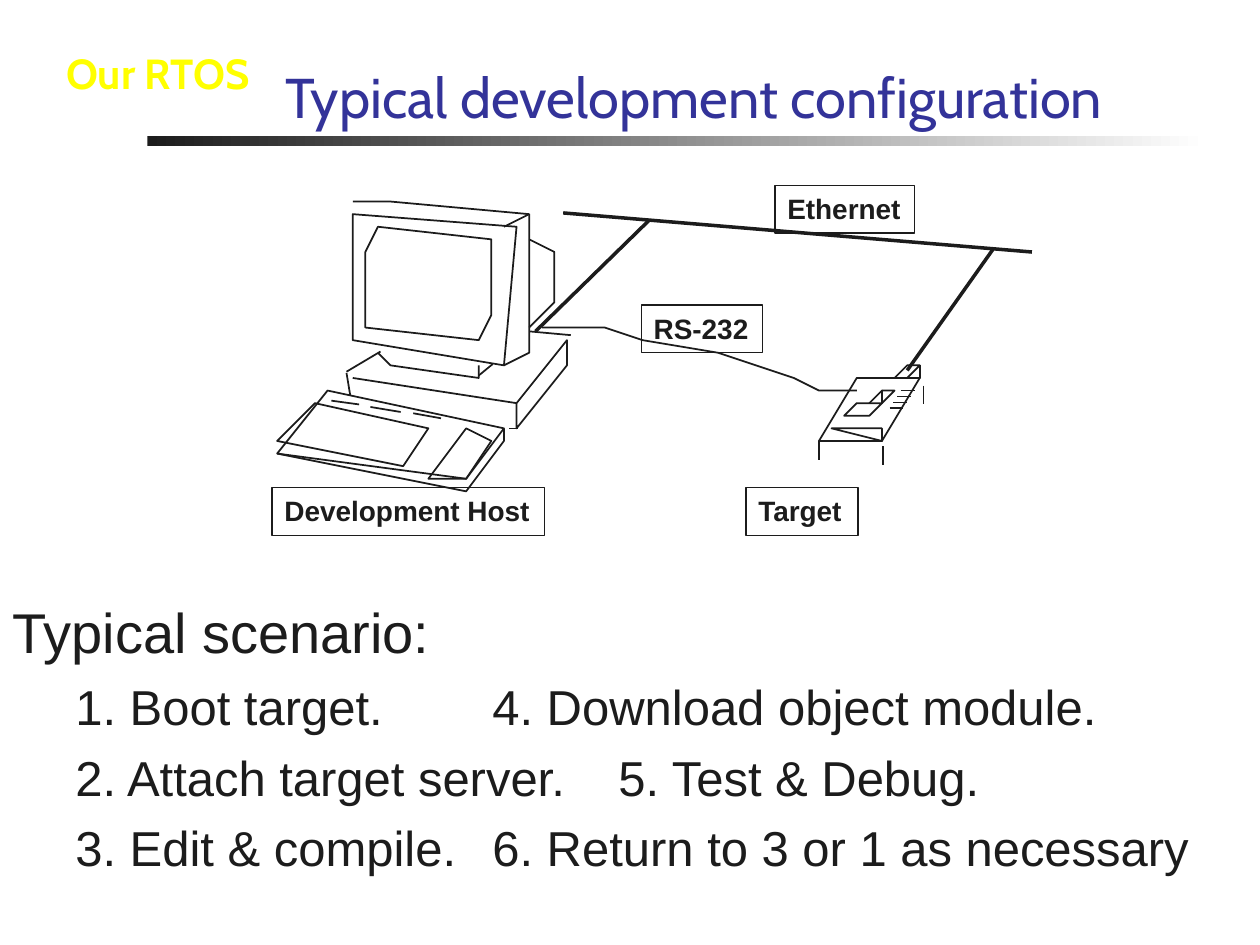
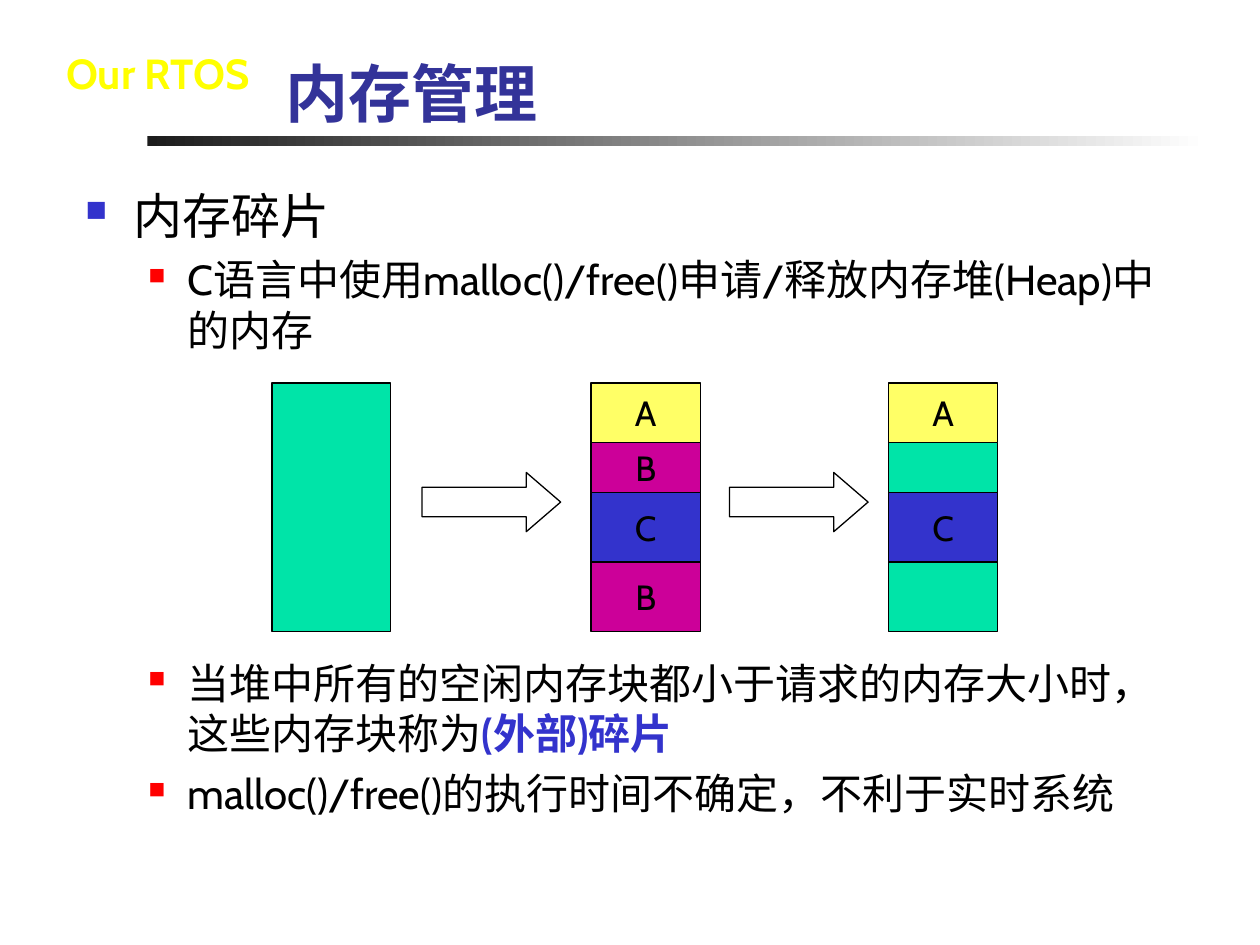
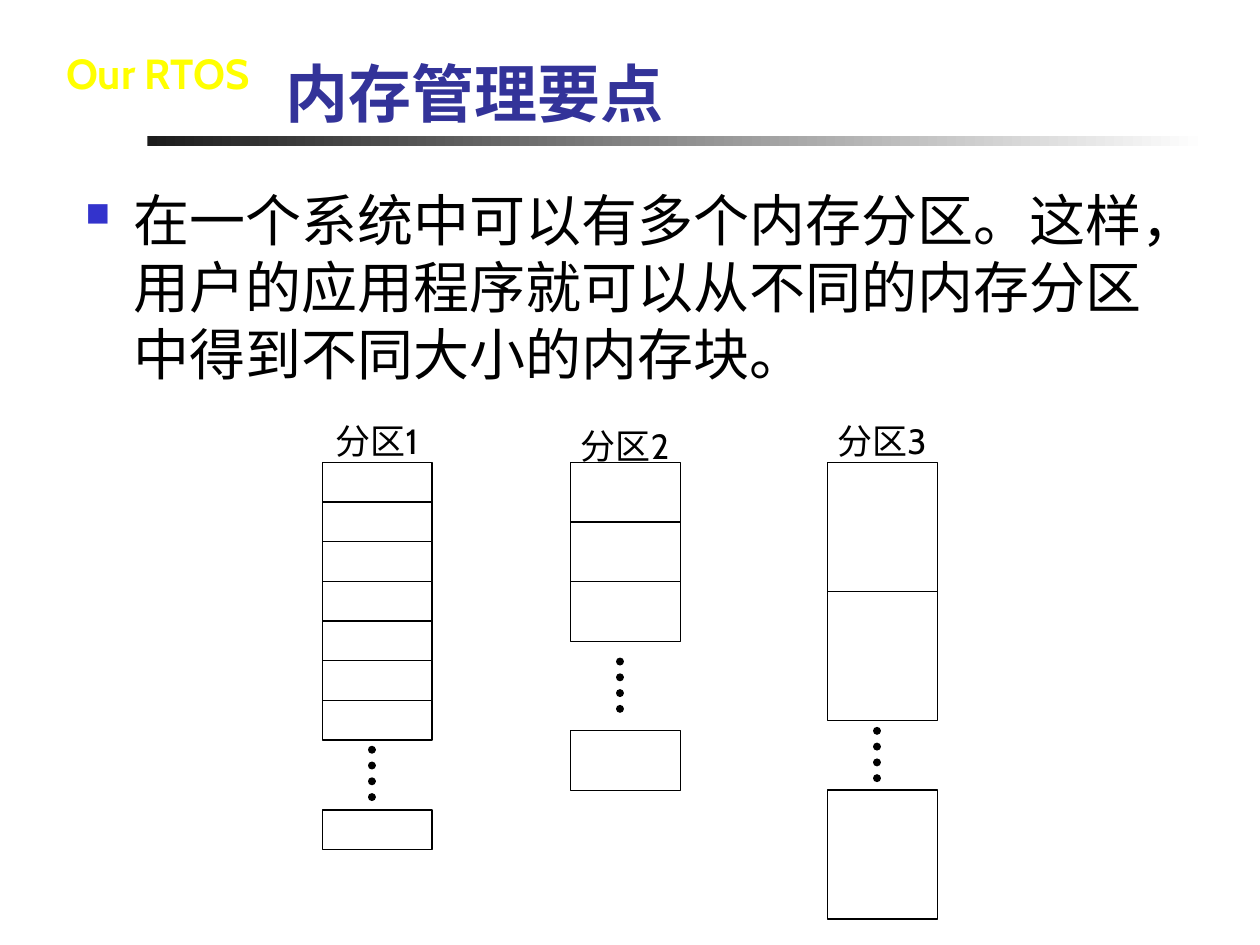
from lxml import etree
from pptx import Presentation
from pptx import util as u
from pptx.dml import color as col
from pptx.enum import dml, shapes, text as txt
from pptx.oxml import ns

COLORS = {
    "ink": "1C1C1C", "black": "000000", "white": "FFFFFF", "title": "333399",
    "badge": "FFFF00", "blue": "3333CC", "red": "FF0000",
    "free": "00E4A8", "yellow": "FFFF66", "magenta": "CC0099",
}
HEAD, PLAIN = "Cabin", "Arial"
COLUMNS, ROWS = 100, 75          # square grid cells of a tenth of an inch
CELL = u.Inches(0.1)
LEVELS = [(0.38, -0.38), (0.81, -0.31)]            # margin, first line
BULLETS = [("blue", 60), ("red", 55)]              # colour, percent of text


def rgb(name):
    """Return the named colour."""
    return col.RGBColor.from_string(COLORS[name])


def cells(*numbers):
    """Turn grid numbers into lengths."""
    return [u.Emu(round(n * CELL)) for n in numbers]


def add_bullet(paragraph, level):
    """Give a paragraph the square bullet of its level."""
    name, percent = BULLETS[level]
    props = paragraph._p.get_or_add_pPr()
    tint = etree.SubElement(props, ns.qn("a:buClr"))
    etree.SubElement(tint, ns.qn("a:srgbClr")).set("val", COLORS[name])
    etree.SubElement(props, ns.qn("a:buSzPct")).set("val", str(percent * 1000))
    etree.SubElement(props, ns.qn("a:buChar")).set("char", "■")


def write(frame, words, size=20, font=HEAD, color="black", bold=False,
          align=None, before=0, level=None, bullet=False, same_line=False):
    """Add a formatted paragraph, or a run to the last paragraph."""
    paragraph = frame.paragraphs[-1]
    if not same_line:
        if paragraph.runs:
            paragraph = frame.add_paragraph()
        paragraph.alignment = align
        paragraph.space_before = u.Pt(before)
        if level is not None:
            paragraph.level = level
            props = paragraph._p.get_or_add_pPr()
            for key, inches in zip(("marL", "indent"), LEVELS[level]):
                props.set(key, str(u.Inches(inches)))
        if bullet:
            add_bullet(paragraph, level)
    run = paragraph.add_run()
    run.text = words
    run.font.size, run.font.name, run.font.bold = u.Pt(size), font, bold
    run.font.color.rgb = rgb(color)


class Deck:
    """Holds the presentation, the current slide and the shared style."""

    def __init__(self):
        """Start an empty deck."""
        self.show = Presentation()
        self.show.slide_width, self.show.slide_height = cells(COLUMNS, ROWS)

    def start(self, title, **style):
        """Open a slide with rule, badge and title."""
        self.slide = self.show.slides.add_slide(self.show.slide_layouts[6])
        self.canvas = self.slide.shapes
        rule = self.block(11.7, 10.8, 84.1, 0.8, border=None)
        rule.fill.gradient()
        rule.fill.gradient_angle = 0
        for stop, name in zip(rule.fill.gradient_stops, ("ink", "white")):
            stop.color.rgb = rgb(name)
        badge = self.frame(4.2, 3.3, 16.7, 10, wrap=False)
        write(badge, "Our RTOS", size=24, color="badge", bold=True,
              align=txt.PP_ALIGN.CENTER)
        heading = self.frame(21.7, 3.3, 73.6, 7.5, anchor=txt.MSO_ANCHOR.BOTTOM)
        write(heading, title, color="title", **style)

    def group(self):
        """Send the shapes that follow into a new group."""
        self.canvas = self.slide.shapes.add_group_shape().shapes

    def frame(self, *place, wrap=True, anchor=txt.MSO_ANCHOR.TOP):
        """Add a text box and return its text frame."""
        frame = self.canvas.add_textbox(*cells(*place)).text_frame
        frame.word_wrap, frame.vertical_anchor = wrap, anchor
        return frame

    def block(self, *place, fill=None, border="black",
              kind=shapes.MSO_SHAPE.RECTANGLE):
        """Add a preset shape."""
        shape = self.canvas.add_shape(kind, *cells(*place))
        self.finish(shape, fill, border, 0.75)
        return shape

    def finish(self, shape, fill, border, width):
        """Set the fill and outline of a shape, without shadow."""
        shape.shadow.inherit = False
        if fill:
            shape.fill.solid()
            shape.fill.fore_color.rgb = rgb(fill)
        else:
            shape.fill.background()
        if border:
            shape.line.color.rgb, shape.line.width = rgb(border), u.Pt(width)
        else:
            shape.line.fill.background()

    def tag(self, words, *place):
        """Add a framed bold caption."""
        frame = self.block(*place, border="ink").text_frame
        frame.word_wrap, frame.vertical_anchor = False, txt.MSO_ANCHOR.TOP
        write(frame, words, size=16, font=PLAIN, color="ink", bold=True,
              align=txt.PP_ALIGN.LEFT)

    def line(self, start, end, color="ink", width=1, dotted=False):
        """Add a straight line, if wanted as round dots."""
        line = self.canvas.add_connector(
            shapes.MSO_CONNECTOR.STRAIGHT, *cells(*start, *end))
        line.line.color.rgb, line.line.width = rgb(color), u.Pt(width)
        props = line._element.spPr
        if dotted:
            line.line.dash_style = dml.MSO_LINE.ROUND_DOT
            props.find(ns.qn("a:ln")).set("cap", "rnd")
        etree.SubElement(props, ns.qn("a:effectLst"))

    def outline(self, *points, closed=False):
        """Draw a thin unfilled outline through grid points."""
        pen = self.canvas.build_freeform(*points[0], scale=float(CELL))
        pen.add_line_segments(points[1:], close=closed)
        self.finish(pen.convert_to_shape(), None, "ink", 1)


def draw_host(deck):
    """Draw the monitor, case and keyboard of the host."""
    closed_parts = {
        "screen frame": [(28.4, 16.6), (27.9, 27.4), (39.9, 29), (40.6, 17.6)],
        "glass": [(29.8, 18.4), (29.2, 20), (29, 23.7), (29.2, 26.1),
                  (38.4, 27.3), (38.9, 25.1), (39.1, 21.1), (38.8, 19.2)],
        "keyboard": [(25.7, 31.2), (40.3, 33.5), (37.1, 38.4), (22.1, 35.5)],
        "number pad": [(36.6, 34.4), (38.9, 34.7), (36.8, 38), (34.4, 37.6)],
        "key field": [(34.3, 33.9), (32, 37.1), (22.5, 35.3), (24.8, 32.4)],
    }
    open_parts = {
        "monitor top": [(28.3, 16.5), (30.7, 16.2), (42.4, 17.1), (40.4, 17.6)],
        "monitor side": [(42.4, 17.1), (41.8, 28.1), (40, 29)],
        "monitor back": [(42.3, 19.4), (44, 19.6), (44, 24.2), (42, 25.7)],
        "stand": [(30.4, 27.9), (30.7, 28.7), (37.9, 29.8), (38.3, 28.9)],
        "keyboard edge": [(40.3, 33.5), (40.3, 35), (40.1, 35.1), (40.1, 34.8),
                          (37.1, 39.1), (22.1, 36.1), (22.1, 35.5)],
        "case": [(27.5, 29.6), (40.9, 31.6), (41, 34.1), (45.3, 29.1),
                 (45.3, 26.7), (41, 31.5)],
    }
    edges = [
        ((27.5, 29.6), (27.8, 31.4)), ((41.1, 34), (40.4, 34)),
        ((45.3, 26.6), (42, 26.3)), ((27.5, 29.5), (30.2, 27.9)),
        ((38, 29.8), (39.1, 28.9)), ((26.3, 31.8), (28.5, 32.1)),
        ((29.4, 32.3), (31.8, 32.7)), ((32.8, 32.8), (35, 33.2)),
    ]
    for points in closed_parts.values():
        deck.outline(*points, closed=True)
    for points in open_parts.values():
        deck.outline(*points)
    for start, end in edges:
        deck.line(start, end)


def draw_target(deck):
    """Draw the target board with its chips, pins and legs."""
    deck.outline((64.9, 34.9), (68.3, 30), (73.3, 30.4), (70.3, 35.3), closed=True)
    deck.outline((68.2, 32), (67.4, 33), (68.8, 33.1), (69.6, 32), closed=True)
    deck.outline((66.2, 34.4), (70, 34.7), (70.3, 34.4), (66.5, 34.2), closed=True)
    for x, y in [(69.1, 30.7), (69.75, 30.8), (70.4, 30.8)]:
        deck.outline((x, y), (x - 0.5, y + 0.7), (x - 0.3, y + 0.7),
                     (x + 0.2, y), closed=True)
    for pin in range(4):
        x, y = 71.5 - 0.3 * pin, 31 + 0.47 * pin
        deck.line((x, y), (x + 1.1, y))
    for x, y in [(65, 35), (70.1, 35.4), (73.3, 30.6)]:
        deck.line((x, y), (x, y + 1.5))
    deck.outline((70.9, 30.2), (71.6, 29.4), (72.6, 29.4), (71.9, 30.3))
    deck.outline((72.6, 29.4), (72.6, 29.8), (72.3, 30.3))


def configuration_slide(deck):
    """Build the slide on the development configuration."""
    deck.start("Typical development configuration", size=32)
    scenario = deck.frame(0, 46.9, 100, 23.2)
    write(scenario, "Typical scenario:", size=32, font=PLAIN, color="ink",
          before=4, level=0)
    for steps in ("1. Boot target.\t\t4. Download object module.",
                  "2. Attach target server.\t5. Test & Debug.",
                  "3. Edit & compile.\t6. Return to 3 or 1 as necessary"):
        write(scenario, steps, size=28, font=PLAIN, color="ink",
              before=6.8, level=1)
    deck.group()
    deck.line((44.7, 16.9), (81.9, 20), width=2)
    draw_host(deck)
    draw_target(deck)
    serial_cable = [
        (42.8, 26.3), (44.1, 26.1), (45.1, 25.9), (46.2, 25.9), (47.5, 26.2),
        (51.2, 27), (56.6, 28.4), (62.6, 30.1), (64.6, 30.6), (66.3, 30.9),
        (67.7, 30.9)]
    deck.outline(*serial_cable)
    deck.line((72, 29.4), (78.8, 19.8), width=2)
    deck.line((42.5, 26.3), (51.5, 17.5), width=2)
    deck.tag("Ethernet", 61.5, 14.7, 11.1, 3.8)
    deck.tag("RS-232", 50.9, 24.2, 9.6, 3.8)
    deck.tag("Development Host", 21.6, 38.7, 21.6, 3.8)
    deck.tag("Target", 59.2, 38.7, 8.9, 3.8)


def fragments_slide(deck):
    """Build the slide on memory fragments."""
    deck.start("内存管理", size=36, bold=True)
    body = deck.frame(5.8, 14.2, 88.3, 54.2)
    detail = dict(size=24, level=1, bullet=True)
    write(body, "内存碎片", size=28, level=0, bullet=True)
    write(body, "C语言中使用malloc()/free()申请/释放内存堆(Heap)中的内存",
          before=5.5, **detail)
    write(body, "当堆中所有的空闲内存块都小于请求的内存大小时，这些内存块称为",
          before=173, **detail)
    write(body, "(外部)碎片", size=24, color="blue", bold=True, same_line=True)
    write(body, "malloc()/free()的执行时间不确定，不利于实时系统",
          before=5.5, **detail)

    top = 30.4
    deck.block(21.6, top, 9.4, 19.7, fill="free")
    heights = [4.7, 4, 5.5, 5.5]
    fills = {"A": "yellow", "B": "magenta", "C": "blue", "": "free"}
    for left, owners in [(46.9, ["A", "B", "C", "B"]), (70.5, ["A", "", "C", ""])]:
        for row, owner in enumerate(owners):
            place = left, top + sum(heights[:row]), 8.7, heights[row]
            frame = deck.block(*place, fill=fills[owner]).text_frame
            if owner:
                frame.word_wrap = False
                frame.vertical_anchor = txt.MSO_ANCHOR.MIDDLE
                write(frame, owner, align=txt.PP_ALIGN.CENTER)
    for left in (33.5, 57.9):
        arrow = deck.block(left, 37.5, 11, 4.7, fill="white",
                           kind=shapes.MSO_SHAPE.RIGHT_ARROW)
        arrow.adjustments[1] = 0.58


def partitions_slide(deck):
    """Build the slide on memory partitions."""
    deck.start("内存管理要点", size=36, bold=True)
    body = deck.frame(5.8, 14.2, 88.3, 54.2)
    write(body, "在一个系统中可以有多个内存分区。这样，用户的应用程序就可以"
          "从不同的内存分区中得到不同大小的内存块。", size=32, level=0, bullet=True)

    # left, label top, blocks, block height, dots top, last block top
    partitions = [(25.6, 32.8, 7, 3.15, 59.5, 64.3),
                  (45.3, 33.2, 3, 4.74, 52.5, 58),
                  (65.7, 32.8, 2, 10.24, 58, 62.7)]
    for number, part in enumerate(partitions, 1):
        left, label_top, count, height, dots, last = part
        for top in [36.7 + height * n for n in range(count)] + [last]:
            deck.block(left, top, 8.7, height)
        label = deck.frame(left - 0.8, label_top, 10.2, 4.3)
        write(label, f"分区{number}", align=txt.PP_ALIGN.CENTER)
        deck.line((left + 3.9, dots), (left + 3.9, dots + 3.95),
                  color="black", width=4.5, dotted=True)


def main():
    """Build and save the deck."""
    deck = Deck()
    configuration_slide(deck)
    fragments_slide(deck)
    partitions_slide(deck)
    deck.show.save("out.pptx")


main()
